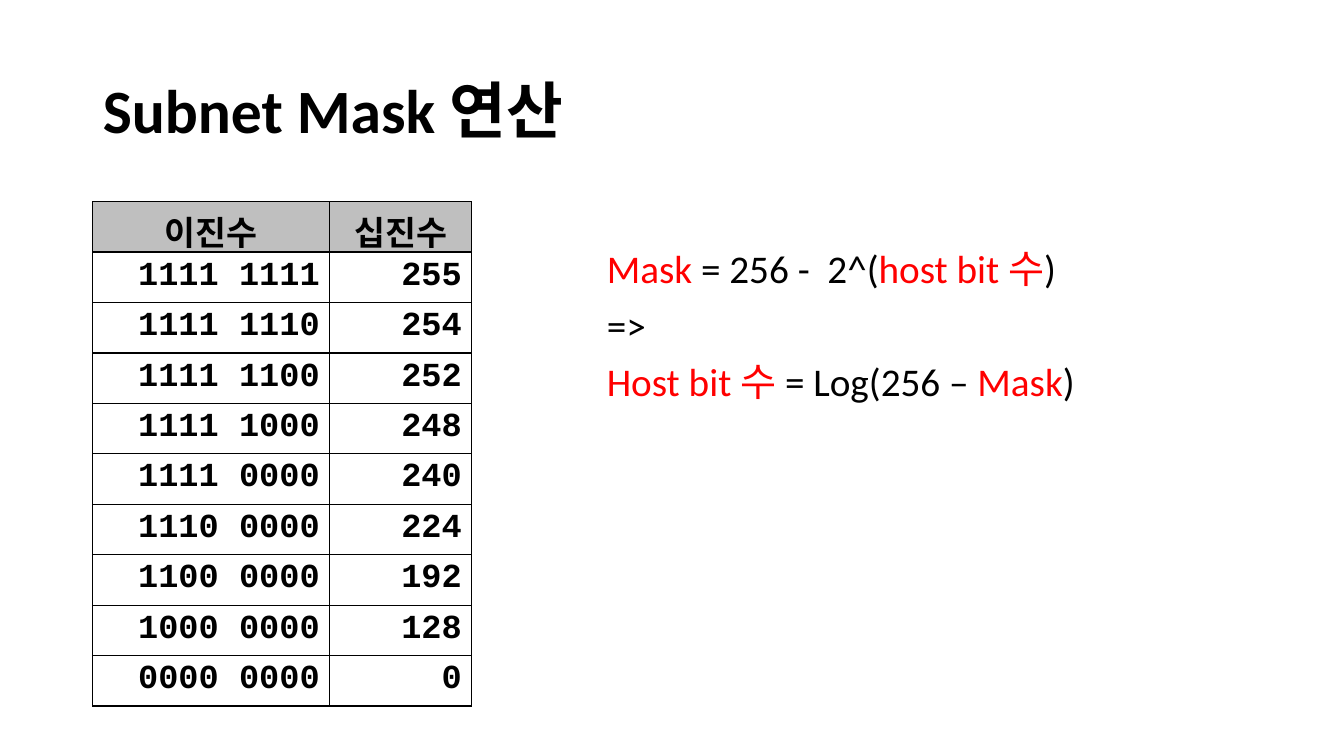
from lxml.etree import SubElement
from pptx import Presentation
from pptx.dml.color import RGBColor
from pptx.enum.text import MSO_ANCHOR, MSO_AUTO_SIZE, PP_ALIGN
from pptx.oxml.ns import qn
from pptx.util import Inches, Pt

COLORS = {"text": "000000", "accent": "FF0000", "header": "BFBFBF", "border": "000000"}
HEADERS = ["이진수", "십진수"]
FORMULAS = [
    [("Mask ", "accent"), ("= 256 - \u00a02^(", "text"), ("host bit 수", "accent"), (")\u00a0", "text")],
    [("=>", "text")],
    [("Host bit 수 ", "accent"), ("= Log(256 – ", "text"), ("Mask", "accent"), (")", "text")],
]


def add_run(p, text, size, font, color="text", bold=False):
    r = p.add_run()
    r.text = text
    r.font.size = Pt(size)
    r.font.name = font
    r.font.bold = bold
    r.font.color.rgb = RGBColor.from_string(COLORS[color])


def add_title(s, text, left, top, width, height):
    sp = s.shapes.title
    sp.left, sp.top, sp.width, sp.height = map(Inches, (left, top, width, height))
    tf = sp.text_frame
    tf.auto_size = MSO_AUTO_SIZE.NONE
    tf.vertical_anchor = MSO_ANCHOR.MIDDLE
    p = tf.paragraphs[0]
    p.alignment = PP_ALIGN.LEFT
    p.line_spacing = 0.9
    add_run(p, text, 44, "Calibri", bold=True)


def add_formulas(s, formulas, left, top, width, height):
    sp = s.shapes.add_textbox(*map(Inches, (left, top, width, height)))
    tf = sp.text_frame
    tf.word_wrap = True
    for i, runs in enumerate(formulas):
        p = tf.add_paragraph() if i else tf.paragraphs[0]
        p.line_spacing = 0.9
        p.space_before = Pt(10)
        for text, color in runs:
            add_run(p, text, 28, "Calibri", color)


def add_borders(cell):
    tcPr = cell._tc.get_or_add_tcPr()
    for i, side in enumerate(("a:lnL", "a:lnR", "a:lnT", "a:lnB")):
        ln = tcPr.makeelement(qn(side), {"w": str(Pt(1))})
        tcPr.insert(i, ln)
        fill = SubElement(ln, qn("a:solidFill"))
        SubElement(fill, qn("a:srgbClr"), val=COLORS["border"])


def add_mask_table(s, left, top, widths, row_height):
    masks = [256 - 2**host_bits for host_bits in range(9)]
    rows = [HEADERS] + [[f"{m >> 4:04b} {m & 15:04b}", str(m)] for m in masks]
    size = (left, top, sum(widths), row_height * len(rows))
    table = s.shapes.add_table(len(rows), len(widths), *map(Inches, size)).table
    table.first_row = table.horz_banding = False
    for column, width in zip(table.columns, widths):
        column.width = Inches(width)
    for i, row in enumerate(rows):
        table.rows[i].height = Inches(row_height)
        for j, text in enumerate(row):
            cell = table.cell(i, j)
            if i == 0:
                cell.fill.solid()
                cell.fill.fore_color.rgb = RGBColor.from_string(COLORS["header"])
            else:
                cell.fill.background()
            add_borders(cell)
            p = cell.text_frame.paragraphs[0]
            p.alignment = PP_ALIGN.RIGHT if i else PP_ALIGN.CENTER
            add_run(p, text, 24, "Courier New", bold=True)


def main():
    prs = Presentation()
    prs.slide_width, prs.slide_height = Inches(13.33), Inches(7.5)
    s = prs.slides.add_slide(prs.slide_layouts[5])
    add_title(s, "Subnet Mask 연산", 0.92, 0.4, 11.5, 1.45)
    add_formulas(s, FORMULAS, 5.92, 2.43, 6.81, 4.76)
    add_mask_table(s, 0.92, 2, [2.35, 1.41], 0.44)
    prs.save("out.pptx")


if __name__ == "__main__":
    main()
